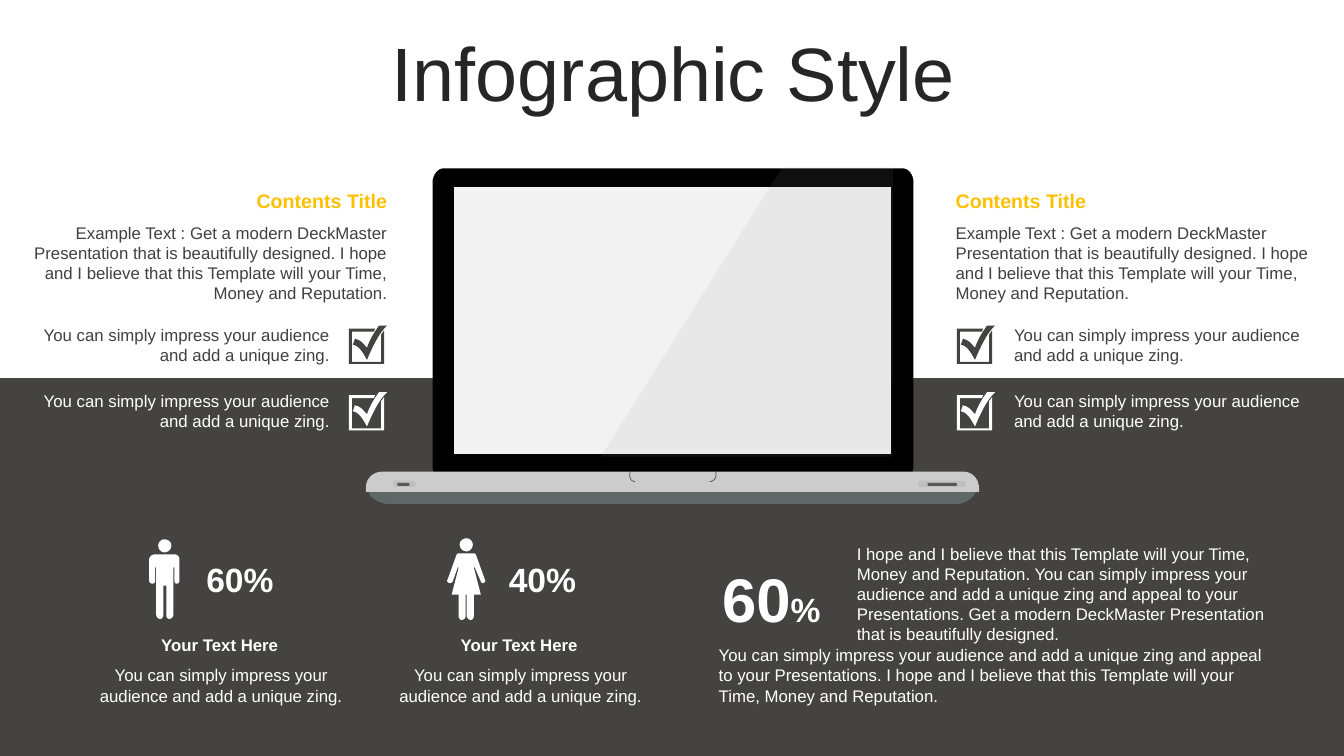
from pptx import Presentation
from pptx.dml.color import RGBColor
from pptx.enum import shapes, text
from pptx.oxml.ns import qn
from pptx.util import Inches, Pt
from lxml import etree

WHITE = RGBColor(0xFF, 0xFF, 0xFF)
BLACK = RGBColor(0, 0, 0)
CHARCOAL = RGBColor(0x44, 0x43, 0x42)
BODY = RGBColor(0x40, 0x40, 0x40)
TITLE = RGBColor(0x26, 0x26, 0x26)
GOLD = RGBColor(0xFF, 0xC0, 0x00)
SCREEN = RGBColor(0xF2, 0xF2, 0xF2)
GLARE = RGBColor(0x99, 0x99, 0x99)
BASE = RGBColor(0xCC, 0xCC, 0xCC)
BASE_SHADE = RGBColor(0x5F, 0x67, 0x67)
NOTCH = RGBColor(0x4D, 0x4D, 0x4D)
PORT = RGBColor(0xBF, 0xBF, 0xBF)
SLOT = RGBColor(0x59, 0x59, 0x59)

LEFT, CENTER, RIGHT = text.PP_ALIGN.LEFT, text.PP_ALIGN.CENTER, text.PP_ALIGN.RIGHT

HEADING = "Contents Title"
EXAMPLE = ("Example Text : Get a modern DeckMaster Presentation that is beautifully designed. "
           "I hope and I believe that this Template will your Time, Money and Reputation.")
IMPRESS = "You can simply impress your audience and add a unique zing."
CAPTION = "Your Text Here"
SUMMARY = ("You can simply impress your audience and add a unique zing and appeal to your "
           "Presentations. I hope and I believe that this Template will your Time, Money and Reputation.")
DETAIL = ("I hope and I believe that this Template will your Time, Money and Reputation. "
          "You can simply impress your audience and add a unique zing and appeal to your "
          "Presentations. Get a modern DeckMaster Presentation that is beautifully designed.")

# Outlines in inches: M moves, L draws lines, C draws cubic curves, Z closes.
LAPTOP = [
    ("M 9.5 5 C 9.5 5 9.63 4.99 9.68 4.88 C 9.68 4.85 9.65 4.83 9.62 4.83 L 3.72 4.85 "
     "C 3.69 4.85 3.66 4.87 3.66 4.9 C 3.7 4.97 3.79 4.99 3.83 5 Z", BASE_SHADE),
    ("M 9.06 4.62 C 9.06 4.7 9.01 4.76 8.95 4.76 L 4.4 4.76 C 4.34 4.76 4.29 4.7 4.29 4.62 "
     "L 4.29 1.81 C 4.29 1.74 4.34 1.67 4.4 1.67 L 8.95 1.67 C 9.01 1.67 9.06 1.73 9.06 1.81 Z", BLACK),
    ("M 4.5 1.86 L 8.84 1.86 L 8.84 4.5 L 4.5 4.5 Z", SCREEN),
    ("M 3.79 4.68 L 9.56 4.68 C 9.64 4.68 9.71 4.75 9.71 4.84 L 9.71 4.88 L 3.63 4.88 "
     "L 3.63 4.83 C 3.63 4.75 3.7 4.68 3.79 4.68 Z", BASE),
]
NOTCH_CORNERS = "M 6.25 4.68 C 6.24 4.74 6.25 4.77 6.3 4.78 M 7.1 4.68 C 7.11 4.74 7.09 4.77 7.04 4.78"
GLARE_OUTLINE = "M 7.76 1.66 L 8.86 1.66 L 8.85 4.53 L 5.96 4.53 Z"
PORTS = [(3.9, 4.77, 0.22, 0.06, PORT), (3.94, 4.79, 0.12, 0.03, SLOT),
         (9.11, 4.77, 0.47, 0.06, PORT), (9.2, 4.79, 0.29, 0.03, SLOT)]
MAN = ("M 1.73 5.5 L 1.54 5.5 C 1.51 5.5 1.48 5.52 1.48 5.55 L 1.48 5.76 C 1.48 5.78 1.5 5.79 1.51 5.79 "
       "C 1.53 5.79 1.54 5.78 1.54 5.76 L 1.54 5.63 L 1.55 5.63 L 1.55 6.1 C 1.55 6.12 1.57 6.14 1.59 6.14 "
       "C 1.61 6.14 1.62 6.12 1.62 6.1 L 1.62 5.81 L 1.65 5.81 L 1.65 6.1 C 1.65 6.12 1.66 6.14 1.68 6.14 "
       "C 1.7 6.14 1.72 6.12 1.72 6.1 L 1.72 5.63 L 1.73 5.63 L 1.73 5.76 C 1.73 5.78 1.74 5.79 1.75 5.79 "
       "C 1.77 5.79 1.78 5.78 1.78 5.76 L 1.78 5.55 C 1.78 5.52 1.76 5.5 1.73 5.5 Z "
       "M 1.63 5.35 C 1.6 5.35 1.57 5.38 1.57 5.41 C 1.57 5.45 1.6 5.48 1.63 5.48 "
       "C 1.67 5.48 1.7 5.45 1.7 5.41 C 1.7 5.38 1.67 5.35 1.63 5.35 Z")
WOMAN = ("M 4.56 5.49 L 4.69 5.49 C 4.71 5.49 4.71 5.49 4.72 5.5 L 4.81 5.75 C 4.82 5.76 4.81 5.78 4.8 5.78 "
         "C 4.79 5.79 4.77 5.78 4.77 5.77 L 4.71 5.63 L 4.7 5.63 L 4.77 5.9 L 4.7 5.9 L 4.7 6.11 "
         "C 4.7 6.13 4.69 6.15 4.67 6.15 C 4.65 6.15 4.63 6.13 4.63 6.11 L 4.63 5.9 L 4.62 5.9 L 4.62 6.11 "
         "C 4.62 6.13 4.6 6.15 4.58 6.15 C 4.56 6.15 4.55 6.13 4.55 6.11 L 4.55 5.9 L 4.48 5.9 L 4.55 5.63 "
         "L 4.54 5.63 L 4.49 5.77 C 4.48 5.78 4.47 5.79 4.45 5.78 C 4.44 5.78 4.43 5.76 4.44 5.75 "
         "L 4.53 5.5 C 4.54 5.49 4.54 5.49 4.56 5.49 Z "
         "M 4.63 5.34 C 4.66 5.34 4.69 5.37 4.69 5.4 C 4.69 5.44 4.66 5.47 4.63 5.47 "
         "C 4.59 5.47 4.56 5.44 4.56 5.4 C 4.56 5.37 4.59 5.34 4.63 5.34 Z")
CHECKBOX = ("M 0 0.03 L 0.26 0.03 C 0.26 0.04 0.25 0.05 0.25 0.06 L 0.03 0.06 L 0.03 0.36 L 0.32 0.36 "
            "L 0.32 0.09 C 0.33 0.08 0.34 0.06 0.35 0.05 L 0.35 0.38 L 0 0.38 Z "
            "M 0.38 0 C 0.3 0.07 0.23 0.22 0.18 0.34 C 0.15 0.29 0.11 0.2 0.04 0.19 L 0.06 0.13 "
            "C 0.13 0.15 0.14 0.18 0.18 0.22 C 0.21 0.14 0.23 0.1 0.3 0 Z")

# heading left, checkbox left, item left, alignment
SIDES = [(0.11, 3.46, 0.33, RIGHT), (9.38, 9.49, 9.96, LEFT)]
CHECK_COLORS = [(CHARCOAL, BODY), (WHITE, WHITE)]
CHECK_TOP, CHECK_STEP = 3.23, 0.66
# outline, share, share left, caption left
PEOPLE = [(MAN, "60%", 1.87, 0.83), (WOMAN, "40%", 4.87, 3.8)]

presentation = Presentation()
presentation.slide_width, presentation.slide_height = Inches(13.33), Inches(7.5)
slide = presentation.slides.add_slide(presentation.slide_layouts[6])


def paint(shape, color):
    shape.shadow.inherit = False
    shape.fill.solid()
    shape.fill.fore_color.rgb = color
    shape.line.fill.background()


def contours(outline, steps=8):
    """Turn an outline into point lists, with curves cut into short lines."""
    result, command, numbers = [], None, []
    for token in outline.split():
        if token.isalpha():
            command = token
            continue
        numbers.append(float(token))
        if len(numbers) < (6 if command == "C" else 2):
            continue
        if command == "M":
            result.append([tuple(numbers)])
        elif command == "L":
            result[-1].append(tuple(numbers))
        else:
            x0, y0 = result[-1][-1]
            x1, y1, x2, y2, x3, y3 = numbers
            for step in range(1, steps + 1):
                t = step / steps
                a, b, c, d = (1 - t) ** 3, 3 * t * (1 - t) ** 2, 3 * t * t * (1 - t), t ** 3
                result[-1].append((a * x0 + b * x1 + c * x2 + d * x3,
                                   a * y0 + b * y1 + c * y2 + d * y3))
        numbers = []
    return result


def add_outline(outline, color, left=0, top=0):
    closed = outline.endswith("Z")
    builder = None
    for contour in contours(outline):
        points = [(Inches(left + x), Inches(top + y)) for x, y in contour]
        if builder is None:
            builder = slide.shapes.build_freeform(*points[0])
        else:
            builder.move_to(*points[0])
        builder.add_line_segments(points[1:], close=closed)
    shape = builder.convert_to_shape()
    paint(shape, color)
    if not closed:
        shape.fill.background()
        shape.line.color.rgb = color
        shape.line.width = Pt(0.5)
    return shape


def add_preset(kind, left, top, width, height, color):
    shape = slide.shapes.add_shape(kind, Inches(left), Inches(top), Inches(width), Inches(height))
    paint(shape, color)
    return shape


def add_text(left, top, width, height, runs, color, align=LEFT, bold=False, middle=False):
    """Add a text box whose runs are (words, size) pairs."""
    box = slide.shapes.add_textbox(Inches(left), Inches(top), Inches(width), Inches(height))
    frame = box.text_frame
    frame.word_wrap = True
    frame.vertical_anchor = text.MSO_ANCHOR.MIDDLE if middle else text.MSO_ANCHOR.TOP
    paragraph = frame.paragraphs[0]
    paragraph.alignment = align
    for words, size in runs:
        run = paragraph.add_run()
        run.text = words
        run.font.name, run.font.size, run.font.bold = "Arial", Pt(size), bold
        run.font.color.rgb = color
    return paragraph


add_preset(shapes.MSO_SHAPE.RECTANGLE, 0, 3.75, 13.33, 3.75, CHARCOAL)
for outline, color in LAPTOP:
    add_outline(outline, color)
add_outline(NOTCH_CORNERS, NOTCH)
for port in PORTS:
    add_preset(shapes.MSO_SHAPE.ROUNDED_RECTANGLE, *port).adjustments[0] = 0.28
glare = add_outline(GLARE_OUTLINE, GLARE)
glare_color = glare.fill._xPr.find(qn("a:solidFill"))[0]
etree.SubElement(glare_color, qn("a:alpha")).set("val", "10000")

title = add_text(0.35, 0.37, 12.66, 0.79, [("Infographic Style", 54)], TITLE, CENTER, middle=True)
title.line_spacing = 0.9

for outline, share, share_left, caption_left in PEOPLE:
    add_outline(outline, WHITE)
    add_text(share_left, 5.49, 1.02, 0.5, [(share, 24)], WHITE, CENTER, bold=True, middle=True)
    add_text(caption_left, 6.55, 2.73, 0.5, [(IMPRESS, 12)], WHITE, CENTER)
    add_text(caption_left, 6.25, 2.7, 0.3, [(CAPTION, 12)], WHITE, CENTER, bold=True)

add_text(6.9, 5.51, 1.5, 0.84, [("60", 44), ("%", 24)], WHITE, CENTER, bold=True, middle=True)
add_text(7.03, 6.35, 5.66, 0.71, [(SUMMARY, 12)], WHITE)
add_text(8.4, 5.34, 4.47, 1.11, [(DETAIL, 12)], WHITE)

for heading_left, check_left, item_left, align in SIDES:
    add_text(heading_left, 2.16, 3.83, 0.91, [(EXAMPLE, 12)], BODY, align)
    add_text(heading_left, 1.83, 3.83, 0.34, [(HEADING, 14)], GOLD, align, bold=True)
    for row, (check_color, item_color) in enumerate(CHECK_COLORS):
        top = CHECK_TOP + row * CHECK_STEP
        add_outline(CHECKBOX, check_color, check_left, top)
        add_text(item_left, top - 0.06, 3.04, 0.5, [(IMPRESS, 12)], item_color, align)

presentation.save("out.pptx")
